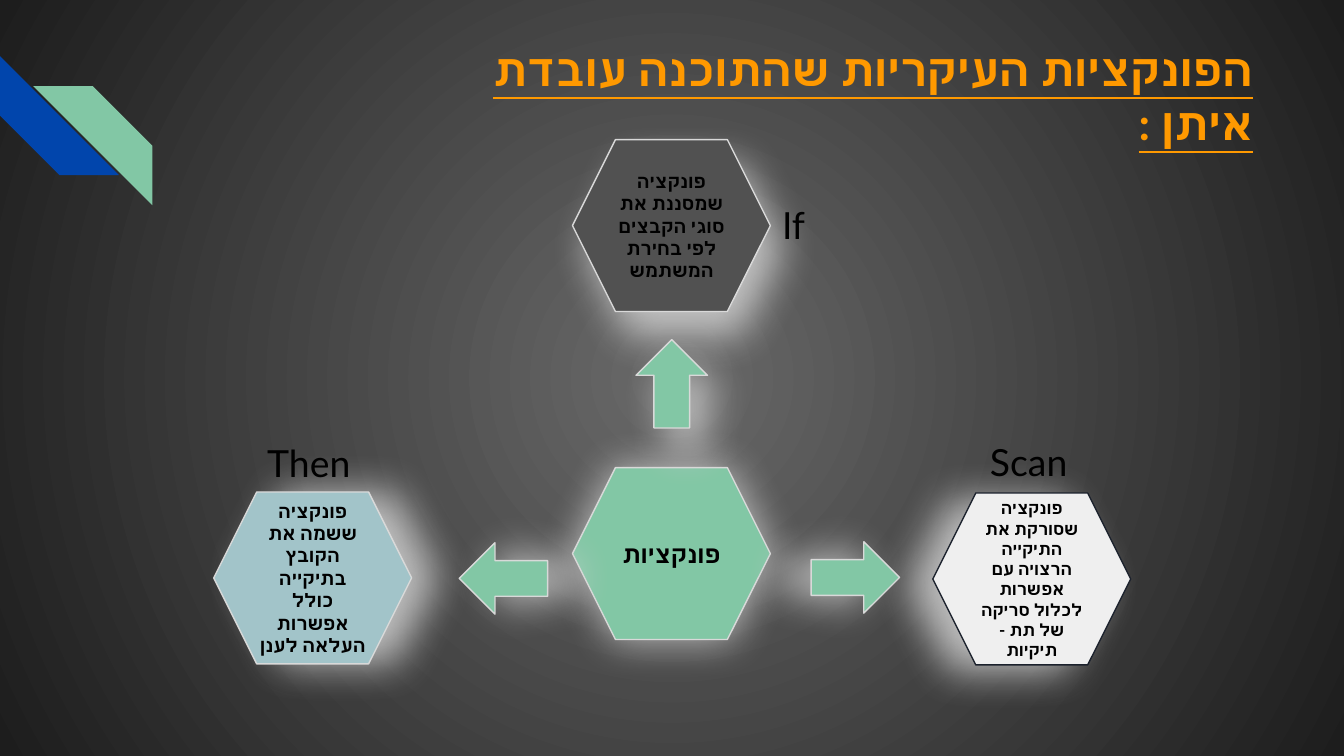
from lxml.etree import SubElement
from pptx import Presentation
from pptx.dml.color import RGBColor
from pptx.enum.shapes import MSO_SHAPE as Preset
from pptx.enum.text import MSO_ANCHOR as Anchor, MSO_AUTO_SIZE as AutoSize, PP_ALIGN as Align
from pptx.oxml import parse_xml
from pptx.oxml.ns import nsdecls, qn
from pptx.util import Cm, Pt

FONT = "Lato"
GREEN, BLUE, SILVER, INK = "82C7A5", "0145AC", "D9D9D9", "000000"
HEX_SIZE, ARROW_SIZE, STRIPE = (3.74, 3.25), (1.67, 1.35), 2.25

FUNCTIONS = [
    (10.82, 8.84, GREEN, SILVER, 0, 0, 13, "פונקציות"),
    (17.63, 9.32, "EFEFEF", "1B212C", 14.2, 167, 9,
     "פונקציה שסורקת את התיקייה הרצויה עם אפשרות לכלול סריקה של תת - תיקיות"),
    (4.04, 9.3, "A2C4C9", SILVER, 14.2, 359, 10,
     "פונקציה ששמה את הקובץ בתיקייה כולל אפשרות העלאה לענן"),
    (10.82, 2.64, "515151", SILVER, 14.2, 61, 10,
     "פונקציה שמסננת את סוגי הקבצים לפי בחירת המשתמש"),
]
ARROWS = [(8.68, 10.26, 0, 359), (11.86, 6.58, 90, 58), (15.33, 10.24, 180, 180)]
LABELS = [("Scan", 18.46, 8.18, 2.03), ("If", 14.53, 3.69, 1.04), ("Then", 4.8, 8.2, 2.13)]


def rgb(code):
    """Return the colour for a hex string."""
    return RGBColor.from_string(code)


def paint_background(slide):
    """Fill the slide with a gradient that darkens from its centre."""
    slide.background.fill.solid()
    properties = slide.background._cSld.find(qn("p:bg")).find(qn("p:bgPr"))
    gradient = parse_xml(
        f'<a:gradFill {nsdecls("a")} rotWithShape="1"><a:gsLst>'
        '<a:gs pos="0"><a:srgbClr val="696969"/></a:gs>'
        '<a:gs pos="100000"><a:srgbClr val="1D1D1D"/></a:gs></a:gsLst>'
        '<a:path path="circle"><a:fillToRect l="50000" t="50000" r="50000" b="50000"/>'
        '</a:path></a:gradFill>')
    properties.replace(properties.find(qn("a:solidFill")), gradient)


def write(frame, words, size, color, align=Align.LEFT, bold=False, underline=False, rtl=False):
    """Write one formatted paragraph into a text frame."""
    paragraph = frame.paragraphs[0]
    paragraph.text = words
    paragraph.alignment = align
    font = paragraph.font
    font.name, font.size, font.bold, font.underline = FONT, Pt(size), bold, underline
    font.color.rgb = rgb(color)
    if rtl:
        properties = paragraph._p.get_or_add_pPr()
        properties.set("rtl", "1")
        SubElement(properties.find(qn("a:defRPr")), qn("a:cs"), typeface=FONT)


def pad(frame):
    """Give a text frame equal insets and wrapped lines."""
    frame.margin_left = frame.margin_right = frame.margin_top = frame.margin_bottom = Cm(0.25)
    frame.word_wrap = True


def add_block(slide, preset, left, top, size, fill, line=None):
    """Add a filled preset shape without a shadow."""
    block = slide.shapes.add_shape(preset, Cm(left), Cm(top), Cm(size[0]), Cm(size[1]))
    block.fill.solid()
    block.fill.fore_color.rgb = rgb(fill)
    if line:
        block.line.color.rgb = rgb(line)
        block.line.width = Pt(0.75)
    else:
        block.line.fill.background()
    block.shadow.inherit = False
    return block


def add_glow(block, distance, angle):
    """Give a shape a soft, light shadow."""
    effects = block._element.spPr.find(qn("a:effectLst"))
    shadow = SubElement(effects, qn("a:outerShdw"), blurRad=str(Pt(22.5)), dist=str(Pt(distance)),
                        dir=str(angle * 60000), algn="bl", rotWithShape="0")
    tint = SubElement(shadow, qn("a:srgbClr"), val=SILVER)
    SubElement(tint, qn("a:alpha"), val="81000")


def add_stripes(slide):
    """Add the two corner stripes."""
    blue = add_block(slide, Preset.DIAGONAL_STRIPE, 0, 1.06, (STRIPE, STRIPE), BLUE)
    blue.rotation = 270
    green = add_block(slide, Preset.DIAGONAL_STRIPE, 0.63, 1.63, (STRIPE, STRIPE), GREEN)
    green._element.spPr.xfrm.set("flipH", "1")


def add_title(slide, words):
    """Place and format the slide title."""
    title = slide.shapes.title
    title.left, title.top, title.width, title.height = Cm(7.21), Cm(0.54), Cm(16.72), Cm(1.56)
    frame = title.text_frame
    pad(frame)
    frame.auto_size = AutoSize.NONE
    frame.vertical_anchor = Anchor.TOP
    write(frame, words, 24, "FF9900", Align.RIGHT, bold=True, underline=True, rtl=True)


def add_function(slide, left, top, fill, line, distance, angle, size, words):
    """Add a hexagon that describes a function."""
    hexagon = add_block(slide, Preset.HEXAGON, left, top, HEX_SIZE, fill, line)
    add_glow(hexagon, distance, angle)
    pad(hexagon.text_frame)
    hexagon.text_frame.vertical_anchor = Anchor.MIDDLE
    write(hexagon.text_frame, words, size, INK, Align.CENTER, bold=True, rtl=True)


def add_arrow(slide, left, top, rotation, angle):
    """Add an arrow that leads away from the central hexagon."""
    arrow = add_block(slide, Preset.LEFT_ARROW, left, top, ARROW_SIZE, GREEN, SILVER)
    arrow.rotation = rotation
    add_glow(arrow, 14.2, angle)


def add_label(slide, words, left, top, width):
    """Add the short name of a function."""
    frame = slide.shapes.add_textbox(Cm(left), Cm(top), Cm(width), Cm(1.11)).text_frame
    frame.word_wrap = False
    frame.auto_size = AutoSize.SHAPE_TO_FIT_TEXT
    write(frame, words, 20, INK)


def main():
    """Build the slide and save it."""
    deck = Presentation()
    deck.slide_width, deck.slide_height = Cm(25.4), Cm(14.29)
    slide = deck.slides.add_slide(deck.slide_layouts[5])
    paint_background(slide)
    add_stripes(slide)
    add_title(slide, "הפונקציות העיקריות שהתוכנה עובדת איתן :")
    for function in FUNCTIONS:
        add_function(slide, *function)
    for arrow in ARROWS:
        add_arrow(slide, *arrow)
    for label in LABELS:
        add_label(slide, *label)
    deck.save("out.pptx")


main()
